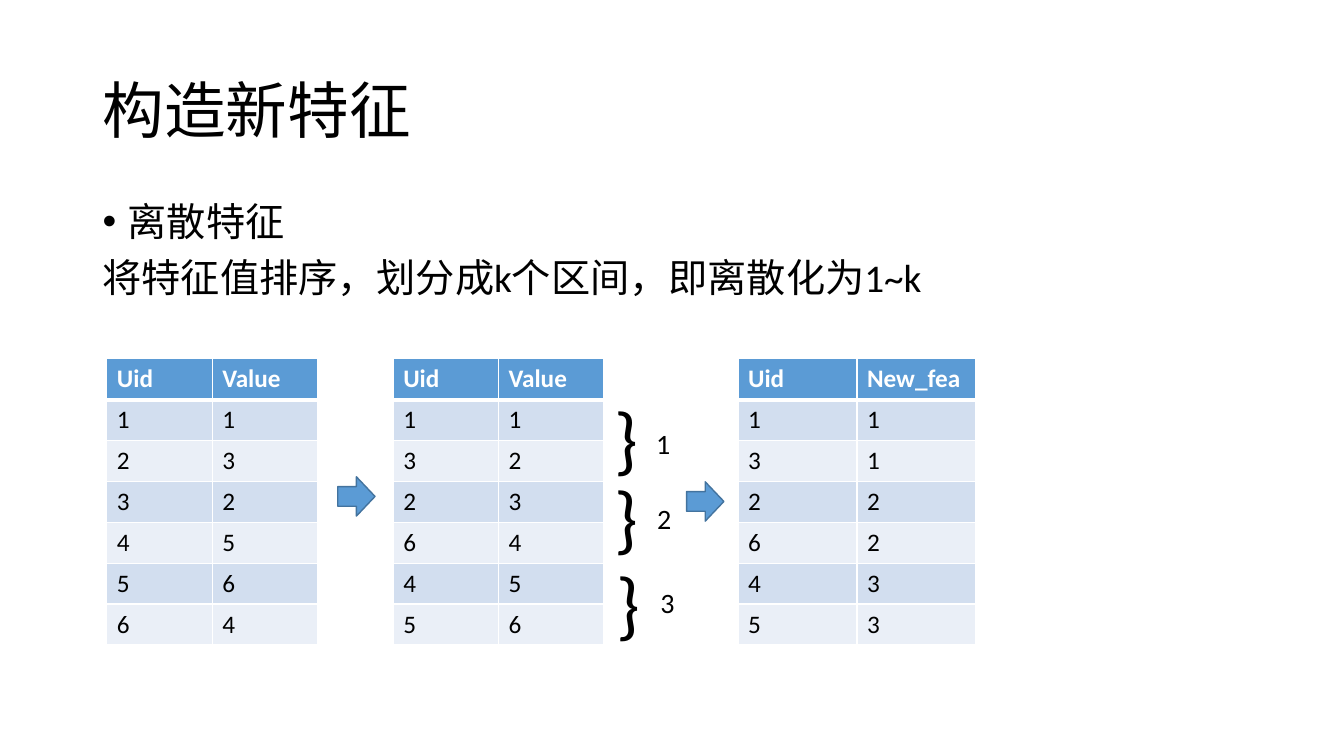
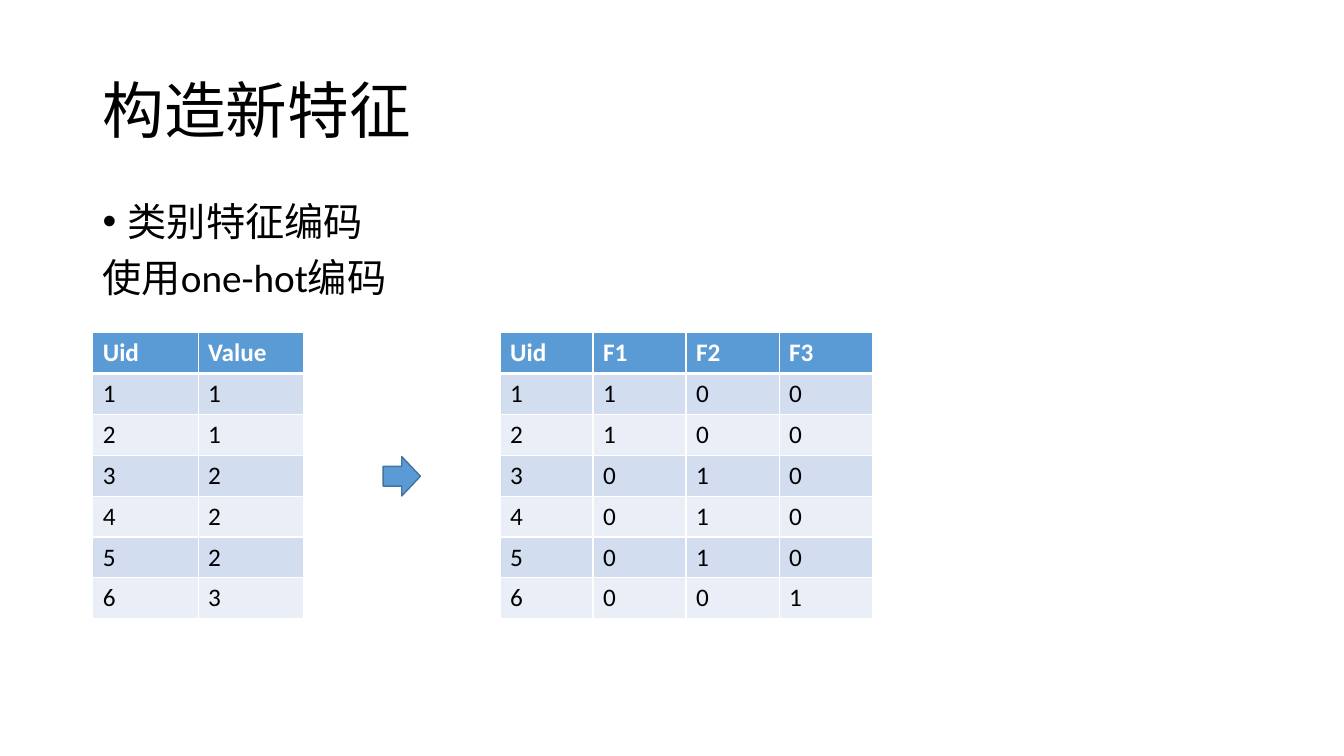
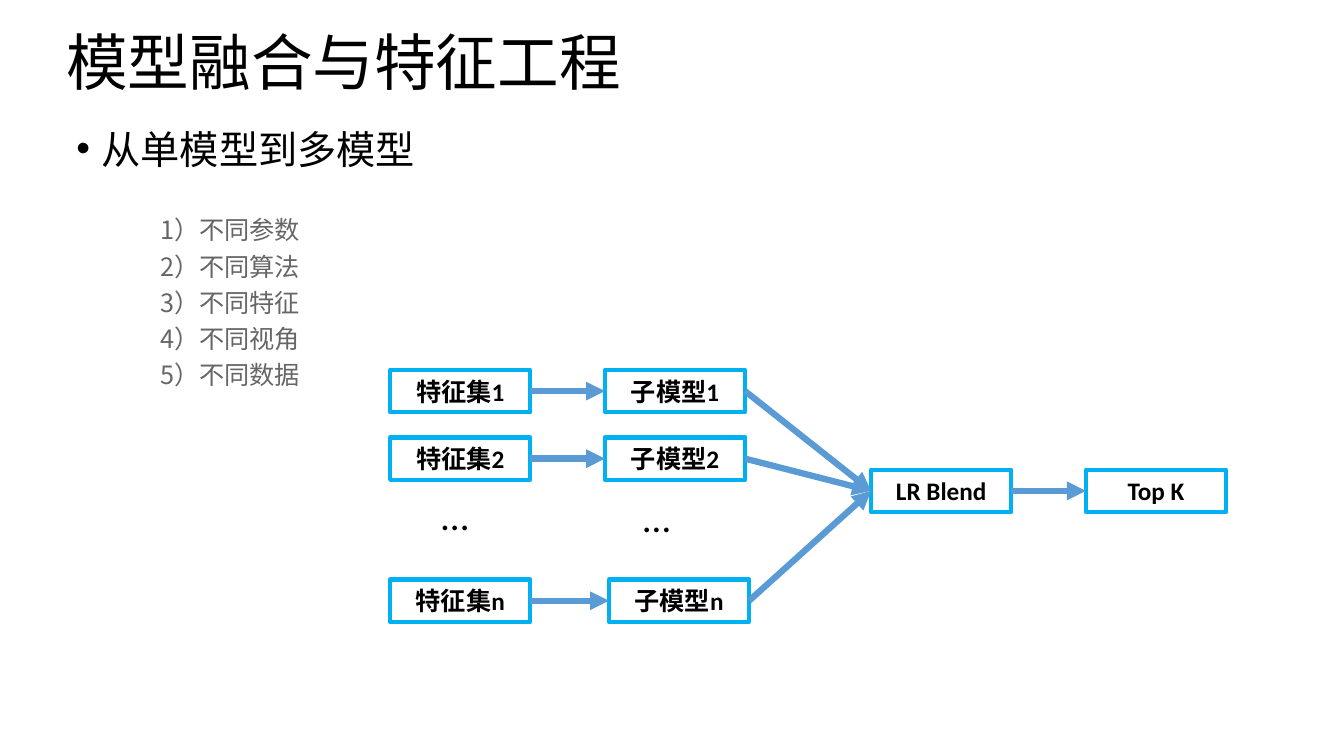
from lxml import etree
from pptx import Presentation
from pptx.dml.color import RGBColor
from pptx.enum.shapes import MSO_CONNECTOR, MSO_SHAPE
from pptx.enum.text import MSO_ANCHOR, MSO_AUTO_SIZE, PP_ALIGN
from pptx.oxml.ns import qn
from pptx.util import Inches, Pt

RECT = MSO_SHAPE.RECTANGLE
ARROW = MSO_SHAPE.RIGHT_ARROW
STRAIGHT = MSO_CONNECTOR.STRAIGHT
MIDDLE = MSO_ANCHOR.MIDDLE
TOP = MSO_ANCHOR.TOP
GROW = MSO_AUTO_SIZE.SHAPE_TO_FIT_TEXT
FIXED = MSO_AUTO_SIZE.NONE
CENTER = PP_ALIGN.CENTER
LEFT = PP_ALIGN.LEFT

BLACK = RGBColor(0x00, 0x00, 0x00)
WHITE = RGBColor(0xFF, 0xFF, 0xFF)
GREY = RGBColor(0x66, 0x66, 0x66)
BLUE = RGBColor(0x5B, 0x9B, 0xD5)
NAVY = RGBColor(0x43, 0x73, 0x9E)
CYAN = RGBColor(0x00, 0xB0, 0xF0)
BANDS = (RGBColor(0xEA, 0xEF, 0xF7), RGBColor(0xD2, 0xDE, 0xEF))

LATIN = "Calibri"
HAN = "Noto Sans CJK SC"
TABLE_H = 2.84
BOX_W, BOX_H = 1.39, 0.42
LEFT_SIDE, RIGHT_SIDE = 1, 3


# Text
def add_run(para, text, size, color=BLACK, bold=False, font=LATIN):
    run = para.add_run()
    run.text = text
    run.font.size = Pt(size)
    run.font.name = font
    run.font.bold = bold
    run.font.color.rgb = color
    etree.SubElement(run.font._element, qn("a:ea"), typeface=HAN)


def add_bullet(para):
    props = para._p.get_or_add_pPr()
    props.set("marL", str(Inches(0.25)))
    props.set("indent", str(Inches(-0.25)))
    etree.SubElement(props, qn("a:buFont"), typeface="Arial")
    etree.SubElement(props, qn("a:buChar"), char="•")


def add_text(slide, place, lines, size, color=BLACK, font=LATIN, space=1.0,
             before=0, bullet=False, anchor=TOP, fit=FIXED, wrap=True):
    box = slide.shapes.add_textbox(*map(Inches, place))
    frame = box.text_frame
    frame.word_wrap = wrap
    frame.auto_size = fit
    frame.vertical_anchor = anchor
    for i, line in enumerate(lines):
        para = frame.paragraphs[0] if i == 0 else frame.add_paragraph()
        para.alignment = LEFT
        para.line_spacing = space
        para.space_before = Pt(before)
        if bullet and i == 0:
            add_bullet(para)
        add_run(para, line, size, color, font=font)


def add_title(slide, text, left=0.92, top=0.4):
    add_text(slide, (left, top, 11.5, 1.45), [text], 44, space=0.9,
             anchor=MIDDLE)


def add_body(slide, place, lines, space=0.9):
    add_text(slide, place, lines, 28, space=space, before=10, bullet=True)


# Tables
def add_edges(cell, head):
    props = cell._tc.get_or_add_tcPr()
    for side in ("lnL", "lnR", "lnT", "lnB"):
        width = Pt(3 if head and side == "lnB" else 1)
        edge = etree.SubElement(props, qn(f"a:{side}"), w=str(width))
        fill = etree.SubElement(edge, qn("a:solidFill"))
        etree.SubElement(fill, qn("a:srgbClr"), val=str(WHITE))


def add_grid(slide, left, top, width, rows):
    place = map(Inches, (left, top, width, TABLE_H))
    table = slide.shapes.add_table(len(rows), len(rows[0]), *place).table
    for r, row in enumerate(rows):
        head = r == 0
        for c, value in enumerate(row):
            cell = table.cell(r, c)
            # The heavy rule under the header is also the next row's top
            add_edges(cell, head)
            if r == 1:
                cell._tc.tcPr.find(qn("a:lnT")).set("w", str(Pt(3)))
            cell.fill.solid()
            cell.fill.fore_color.rgb = BLUE if head else BANDS[r % 2]
            add_run(cell.text_frame.paragraphs[0], str(value), 18,
                    WHITE if head else BLACK, bold=head)


# Shapes
def add_shape(slide, kind, place, fill, line, weight):
    shape = slide.shapes.add_shape(kind, *map(Inches, place))
    shape.shadow.inherit = False
    shape.fill.solid()
    shape.fill.fore_color.rgb = fill
    shape.line.color.rgb = line
    shape.line.width = Pt(weight)
    return shape


def add_arrow(slide, left, top):
    add_shape(slide, ARROW, (left, top, 0.37, 0.39), BLUE, NAVY, 1)


def add_box(slide, left, top, text):
    box = add_shape(slide, RECT, (left, top, BOX_W, BOX_H), WHITE, CYAN, 3)
    box.text_frame.vertical_anchor = MIDDLE
    para = box.text_frame.paragraphs[0]
    para.alignment = CENTER
    add_run(para, text, 18, bold=True)
    return box


def add_link(slide, start, end):
    link = slide.shapes.add_connector(STRAIGHT, 0, 0, 0, 0)
    link.begin_connect(start, RIGHT_SIDE)
    link.end_connect(end, LEFT_SIDE)
    link.line.color.rgb = BLUE
    link.line.width = Pt(4.5)
    etree.SubElement(link.line._get_or_add_ln(), qn("a:tailEnd"),
                     type="triangle")
    etree.SubElement(link._element.spPr, qn("a:effectLst"))


# Slides
def bin_slide(slide):
    add_title(slide, "构造新特征")
    add_body(slide, (0.92, 1.96, 11.5, 2.46),
             ["离散特征", "将特征值排序，划分成k个区间，即离散化为1~k"])
    pairs = [(1, 1), (2, 3), (3, 2), (4, 5), (5, 6), (6, 4)]
    ranked = sorted(pairs, key=lambda pair: pair[1])
    binned = [(uid, (value + 1) // 2) for uid, value in ranked]
    add_grid(slide, 1.06, 3.56, 2.09, [("Uid", "Value")] + pairs)
    add_grid(slide, 3.9, 3.56, 2.09, [("Uid", "Value")] + ranked)
    add_grid(slide, 7.32, 3.56, 2.36, [("Uid", "New_fea")] + binned)

    # Braces that group the sorted rows, with their bin numbers
    braces = [(6, 3.83), (6, 4.61), (6.02, 5.47)]
    labels = [(6.41, 4.18), (6.42, 4.93), (6.45, 5.76)]
    for i, (brace, label) in enumerate(zip(braces, labels), 1):
        add_text(slide, (*brace, 0.45, 1.01), ["}"], 54, fit=GROW)
        add_text(slide, (*label, 0.45, 0.44), [str(i)], 20, fit=GROW)
    add_arrow(slide, 3.35, 4.73)
    add_arrow(slide, 6.81, 4.78)


def code_slide(slide):
    add_title(slide, "构造新特征")
    add_body(slide, (0.92, 1.96, 11.5, 3.85),
             ["类别特征编码", "使用one-hot编码"])
    pairs = list(enumerate((1, 1, 2, 2, 2, 3), 1))
    coded = [(uid, *(int(value == k) for k in (1, 2, 3)))
             for uid, value in pairs]
    add_grid(slide, 0.92, 3.3, 2.09, [("Uid", "Value")] + pairs)
    add_arrow(slide, 3.8, 4.53)
    add_grid(slide, 4.96, 3.3, 3.69, [("Uid", "F1", "F2", "F3")] + coded)


def blend_slide(slide):
    add_title(slide, "模型融合与特征工程", 0.56, -0.07)
    add_body(slide, (0.66, 1.28, 11.5, 0.5), ["从单模型到多模型"], 0.8)
    topics = ("参数", "算法", "特征", "视角", "数据")
    add_text(slide, (1.49, 2.02, 2.91, 1.92),
             [f"{i}）不同{topic}" for i, topic in enumerate(topics, 1)],
             18, GREY, HAN, space=1.2, fit=GROW)

    # Flow from feature sets through models to the blend
    rows = [("1", 3.67, 6), ("2", 4.34, 6), ("n", 5.75, 6.04)]
    sets = [add_box(slide, 3.87, top, f"特征集{n}") for n, top, _ in rows]
    models = [add_box(slide, left, top, f"子模型{n}")
              for n, top, left in rows]
    blend = add_box(slide, 8.64, 4.66, "LR Blend")
    best = add_box(slide, 10.77, 4.66, "Top K")
    for source, model in zip(sets, models):
        add_link(slide, source, model)
    for model in models:
        add_link(slide, model, blend)
    add_link(slide, blend, best)
    for left, top in ((4.28, 4.83), (6.28, 4.84)):
        add_text(slide, (left, top, 0.47, 0.57), ["…"], 28, fit=GROW,
                 wrap=False)


def main():
    deck = Presentation()
    deck.slide_width = Inches(13.33)
    deck.slide_height = Inches(7.5)
    blank = deck.slide_layouts[6]
    for build in (bin_slide, code_slide, blend_slide):
        build(deck.slides.add_slide(blank))
    deck.save("out.pptx")


if __name__ == "__main__":
    main()
